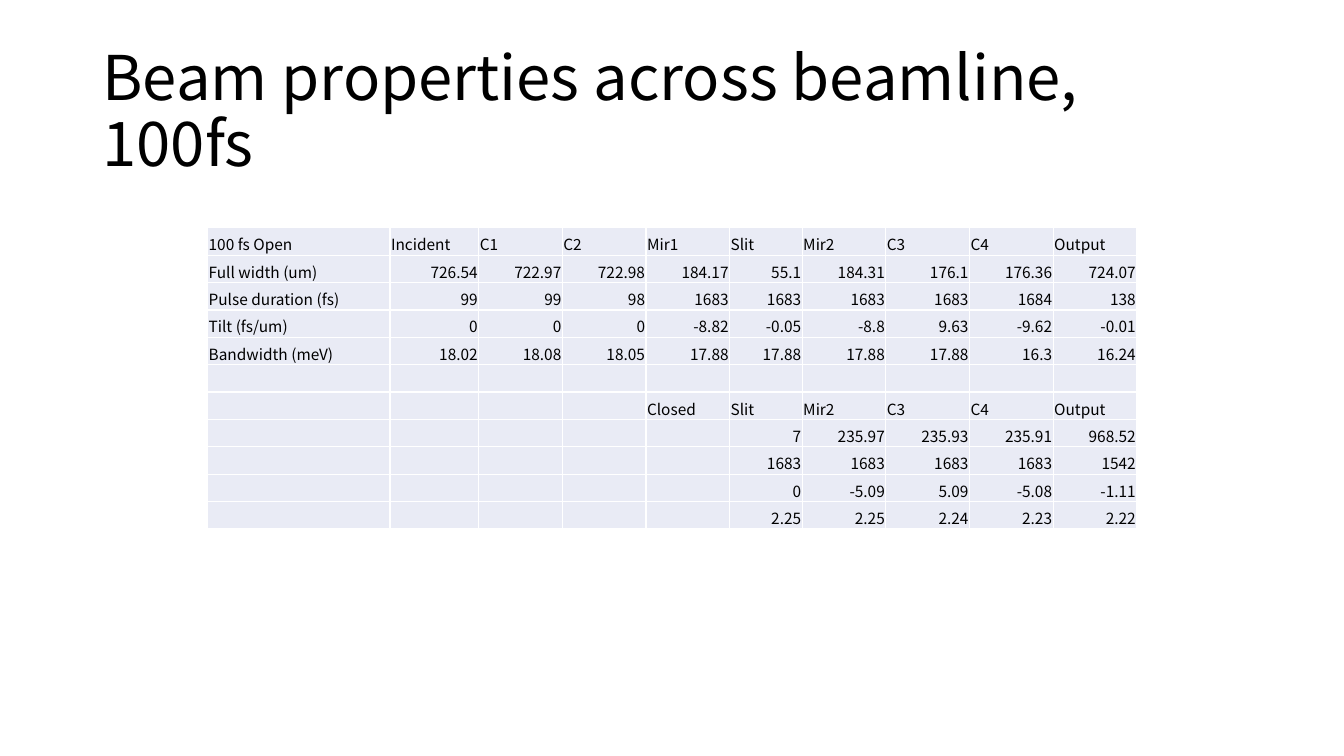
import pptx
import pptx.dml.color
import pptx.enum.text
import pptx.oxml.ns
import pptx.util
from lxml import etree

COLORS = {"ink": "000000", "cell": "E9EBF5", "rule": "FFFFFF"}
FONT = "Noto Sans CJK SC"
GRID_COLUMNS, GRID_ROWS = 160, 90

STATIONS = ["Slit", "Mir2", "C3", "C4", "Output"]
OPEN_BEAM = [
    ["100 fs Open", "Incident", "C1", "C2", "Mir1", *STATIONS],
    ["Full width (um)", "726.54", "722.97", "722.98", "184.17",
     "55.1", "184.31", "176.1", "176.36", "724.07"],
    ["Pulse duration (fs)", "99", "99", "98", "1683",
     "1683", "1683", "1683", "1684", "138"],
    ["Tilt (fs/um)", "0", "0", "0", "-8.82",
     "-0.05", "-8.8", "9.63", "-9.62", "-0.01"],
    ["Bandwidth (meV)", "18.02", "18.08", "18.05", "17.88",
     "17.88", "17.88", "17.88", "16.3", "16.24"],
]
CLOSED_BEAM = [
    ["Closed", *STATIONS],
    ["7", "235.97", "235.93", "235.91", "968.52"],
    ["1683", "1683", "1683", "1683", "1542"],
    ["0", "-5.09", "5.09", "-5.08", "-1.11"],
    ["2.25", "2.25", "2.24", "2.23", "2.22"],
]
COLUMN_SPANS = [21.72, 10.56] + [9.96] * 3 + [8.64] + [9.96] * 4


def is_number(text):
    return text.lstrip("-").replace(".", "").isdigit()


class BeamSlide:
    def __init__(self, deck):
        self.column = deck.slide_width / GRID_COLUMNS
        self.row = deck.slide_height / GRID_ROWS
        self.slide = deck.slides.add_slide(deck.slide_layouts[5])

    def box(self, left, top, width, height):
        return (int(left * self.column), int(top * self.row),
                int(width * self.column), int(height * self.row))

    def color(self, name):
        return pptx.dml.color.RGBColor.from_string(COLORS[name])

    def format_runs(self, paragraph, size):
        for run in paragraph.runs:
            run.font.size = pptx.util.Pt(size)
            run.font.name = FONT
            run.font.color.rgb = self.color("ink")
            for script in ("a:ea", "a:cs"):
                face = etree.SubElement(run.font._element, pptx.oxml.ns.qn(script))
                face.set("typeface", FONT)

    def title(self, text, area):
        heading = self.slide.shapes.title
        heading.left, heading.top, heading.width, heading.height = self.box(*area)
        frame = heading.text_frame
        frame.text = text
        frame.word_wrap = True
        frame.auto_size = pptx.enum.text.MSO_AUTO_SIZE.NONE
        frame.vertical_anchor = pptx.enum.text.MSO_ANCHOR.MIDDLE
        paragraph = frame.paragraphs[0]
        paragraph.alignment = pptx.enum.text.PP_ALIGN.LEFT
        paragraph.line_spacing = 0.9
        self.format_runs(paragraph, 44)

    def rule_cell(self, cell):
        properties = cell._tc.get_or_add_tcPr()
        for side in ("a:lnL", "a:lnR", "a:lnT", "a:lnB"):
            line = etree.SubElement(properties, pptx.oxml.ns.qn(side),
                                    w=str(pptx.util.Pt(1)))
            fill = etree.SubElement(line, pptx.oxml.ns.qn("a:solidFill"))
            etree.SubElement(fill, pptx.oxml.ns.qn("a:srgbClr"), val=COLORS["rule"])

    def fill_cell(self, cell, text, size=11):
        self.rule_cell(cell)
        cell.fill.solid()
        cell.fill.fore_color.rgb = self.color("cell")
        cell.margin_left = cell.margin_right = cell.margin_top = pptx.util.Inches(0.01)
        cell.margin_bottom = 0
        cell.vertical_anchor = pptx.enum.text.MSO_ANCHOR.BOTTOM
        paragraph = cell.text_frame.paragraphs[0]
        if text:
            paragraph.text = text
            if is_number(text):
                paragraph.alignment = pptx.enum.text.PP_ALIGN.RIGHT
            self.format_runs(paragraph, size)
        else:
            etree.SubElement(paragraph._p, pptx.oxml.ns.qn("a:endParaRPr"),
                             sz=str(size * 100))

    def table(self, rows, spans, left, top, height):
        frame = self.slide.shapes.add_table(
            len(rows), len(spans), *self.box(left, top, sum(spans), height))
        grid = frame.table
        grid.first_row = grid.horz_banding = False
        for column, span in zip(grid.columns, spans):
            column.width = int(span * self.column)
        for row, texts in zip(grid.rows, rows):
            row.height = int(height / len(rows) * self.row)
            for cell, text in zip(row.cells, texts):
                self.fill_cell(cell, text)


def main():
    deck = pptx.Presentation()
    deck.slide_width = pptx.util.Inches(13.33)
    deck.slide_height = pptx.util.Inches(7.5)
    width = len(COLUMN_SPANS)
    closed = [[""] * (width - len(values)) + values for values in CLOSED_BEAM]
    beam = BeamSlide(deck)
    beam.title("Beam properties across beamline, 100fs", (11, 4.8, 138, 17.4))
    beam.table(OPEN_BEAM + [[""] * width] + closed, COLUMN_SPANS, 24.72, 27.12, 35.88)
    deck.save("out.pptx")


if __name__ == "__main__":
    main()
